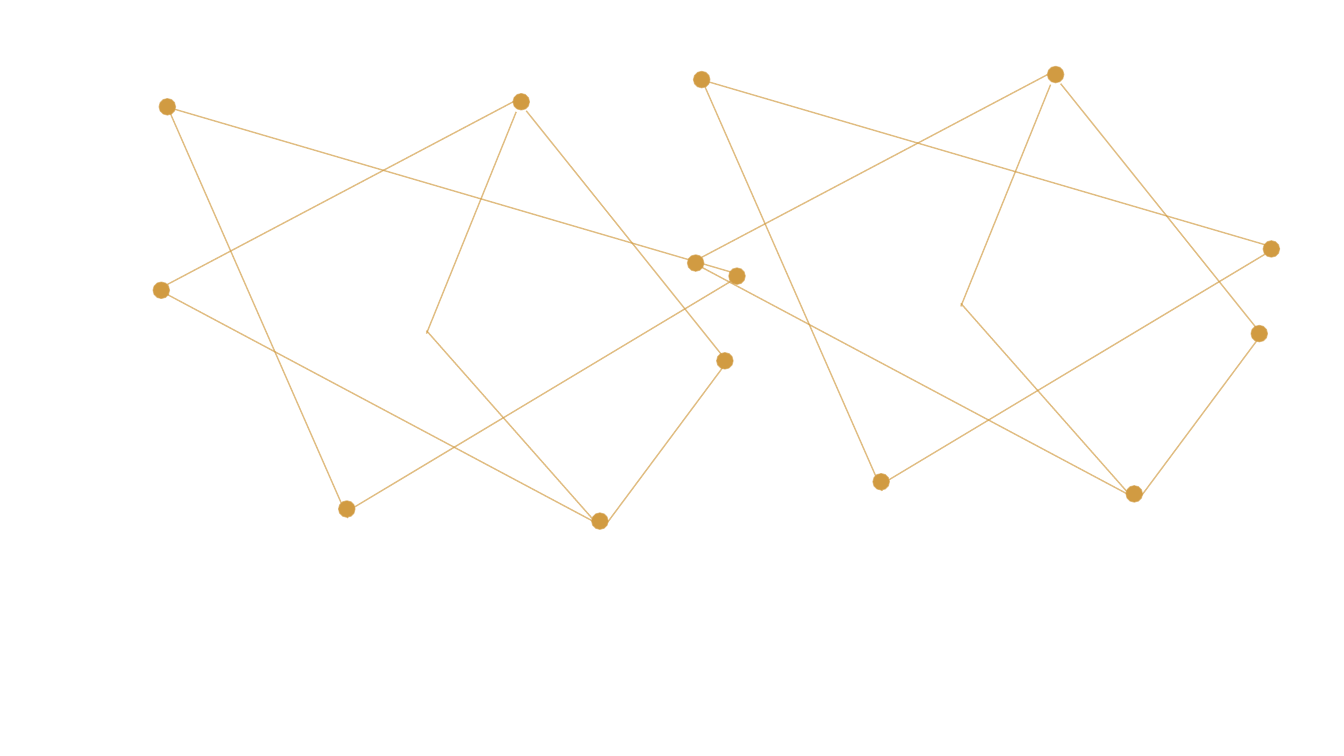
from lxml import etree
from pptx import Presentation, util
from pptx.dml import color
from pptx.enum import shapes
from pptx.oxml import ns

COLUMNS, ROWS = 1333, 750
CELL = util.Inches(0.01)
DOT_SIZE = 16
GOLD = "D19B42"
LINE_OPACITY = 65
LINE_FORMAT = {"width": util.Pt(1)}

NETWORK = [
    ("line", (172, 108, 739, 274)),
    ("line", (167, 108, 345, 514)),
    ("dot", (723, 266)),
    ("line", (725, 279, 345, 507)),
    ("dot", (336, 497)),
    ("dot", (158, 98)),
    ("dot", (509, 93)),
    ("line", (509, 101, 157, 287)),
    ("line", (588, 517, 160, 289)),
    ("line", (719, 356, 522, 110)),
    ("line", (595, 523, 423, 328)),
    ("line", (512, 111, 423, 331)),
    ("line", (721, 359, 602, 519)),
    ("dot", (152, 280)),
    ("dot", (711, 350)),
    ("dot", (587, 509)),
]
GROUP_SHIFT = (530, -27)


def rgb(value):
    return color.RGBColor.from_string(value)


def format_line(shape):
    shape.line.color.rgb = rgb(GOLD)
    for name, value in LINE_FORMAT.items():
        setattr(shape.line, name, value)
    line_color = shape._element.xpath(".//a:ln/a:solidFill/a:srgbClr")[0]
    alpha = etree.SubElement(line_color, ns.qn("a:alpha"))
    alpha.set("val", str(LINE_OPACITY * 1000))


def add_line(target, ends):
    connector = target.add_connector(shapes.MSO_CONNECTOR.STRAIGHT, *ends)
    format_line(connector)
    etree.SubElement(connector._element.spPr, ns.qn("a:effectLst"))


def add_dot(target, corner):
    size = DOT_SIZE * CELL
    dot = target.add_shape(shapes.MSO_SHAPE.OVAL, *corner, size, size)
    dot.fill.solid()
    dot.fill.fore_color.rgb = rgb(GOLD)
    format_line(dot)
    dot.shadow.inherit = False


def add_network(target, shift):
    builders = {"line": add_line, "dot": add_dot}
    for kind, place in NETWORK:
        lengths = [(value + shift[index % 2]) * CELL for index, value in enumerate(place)]
        builders[kind](target, lengths)


def main():
    presentation = Presentation()
    presentation.slide_width = COLUMNS * CELL
    presentation.slide_height = ROWS * CELL
    slide = presentation.slides.add_slide(presentation.slide_layouts[6])
    add_network(slide.shapes, (0, 0))
    add_network(slide.shapes.add_group_shape().shapes, GROUP_SHIFT)
    presentation.save("out.pptx")


if __name__ == "__main__":
    main()
